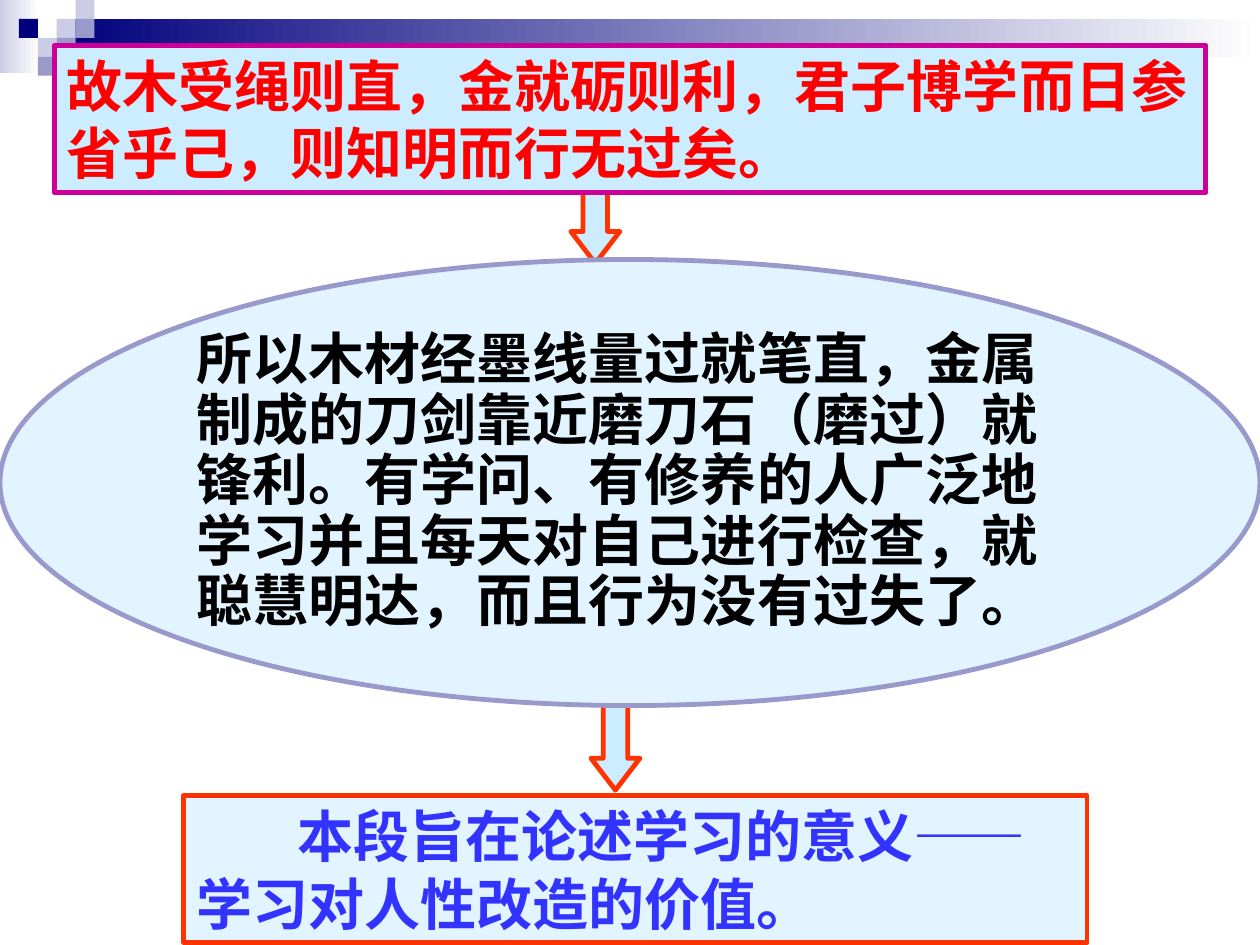
"""Build a slide that leads from a classical sentence to its translation and its point."""
import pptx
import pptx.dml.color
import pptx.enum.shapes
import pptx.enum.text
import pptx.util

Pt = pptx.util.Pt
RGBColor = pptx.dml.color.RGBColor
SHAPES = pptx.enum.shapes.MSO_SHAPE
ANCHORS = pptx.enum.text.MSO_ANCHOR

WHITE = RGBColor(0xFF, 0xFF, 0xFF)
BLACK = RGBColor(0, 0, 0)
NAVY = RGBColor(0, 0, 0x7D)
LAVENDER = RGBColor(0x99, 0x99, 0xCC)
PALE_LAVENDER = RGBColor(0xCC, 0xCC, 0xE6)
SKY = RGBColor(0xCC, 0xEC, 0xFF)
PALE_SKY = RGBColor(0xE1, 0xF4, 0xFF)
ORANGE = RGBColor(0xFF, 0x33, 0)
MAGENTA = RGBColor(0xCC, 0, 0x99)
RED = RGBColor(0xFF, 0, 0)
BLUE = RGBColor(0x33, 0x33, 0xFF)

FONT = "Times New Roman"
SQUARE = 10.8


def add_shape(slide, kind, box, fill, line=None):
    """Add a solid preset shape, outlined when a line colour is given."""
    shape = slide.shapes.add_shape(kind, *map(Pt, box))
    shape.shadow.inherit = False
    shape.fill.solid()
    shape.fill.fore_color.rgb = fill
    if line is None:
        shape.line.fill.background()
    else:
        shape.line.color.rgb = line
        shape.line.width = Pt(2.75)
    return shape


def add_fading_band(slide, box, color):
    """Add a rectangle that fades to white from left to right."""
    shape = add_shape(slide, SHAPES.RECTANGLE, box, color)
    shape.fill.gradient()
    shape.fill.gradient_angle = 0
    for stop, stop_color in zip(shape.fill.gradient_stops, (color, WHITE)):
        stop.color.rgb = stop_color


def add_down_arrow(slide, left, top):
    """Add an outlined arrow that points down."""
    arrow = add_shape(slide, SHAPES.DOWN_ARROW, (left, top, 28, 73.5), SKY, ORANGE)
    arrow.adjustments[0] = 0.5
    arrow.adjustments[1] = 0.65


def write_text(shape, text, color, bold=True, size=32, anchor=ANCHORS.MIDDLE,
               line_spacing=1.0, indent=0):
    """Write one formatted, left-aligned paragraph into a shape."""
    frame = shape.text_frame
    frame.word_wrap = True
    frame.vertical_anchor = anchor
    paragraph = frame.paragraphs[0]
    paragraph.alignment = pptx.enum.text.PP_ALIGN.LEFT
    paragraph.line_spacing = line_spacing
    if indent:
        paragraph._p.get_or_add_pPr().set("indent", str(Pt(indent)))
    run = paragraph.add_run()
    run.text = text
    run.font.name = FONT
    run.font.size = Pt(size)
    run.font.bold = bold
    run.font.color.rgb = color


def add_decoration(slide):
    """Add the fading bands and the mosaic of squares at the top."""
    add_fading_band(slide, (0, 0, 22.3, 41.8), PALE_LAVENDER)
    add_fading_band(slide, (32.4, SQUARE, 687.6, 21.6), NAVY)
    squares = [
        (3, 1, PALE_LAVENDER), (4, 0, PALE_LAVENDER), (4, 1, LAVENDER),
        (2, 2, PALE_LAVENDER), (1, 1, NAVY), (3, 2, LAVENDER), (2, 3, LAVENDER),
    ]
    for column, row, color in squares:
        box = (column * SQUARE, row * SQUARE, SQUARE, SQUARE)
        add_shape(slide, SHAPES.RECTANGLE, box, color)


def main():
    """Build and save the presentation."""
    presentation = pptx.Presentation()
    presentation.slide_width = Pt(720)
    presentation.slide_height = Pt(540)
    slide = presentation.slides.add_slide(presentation.slide_layouts[6])

    add_decoration(slide)
    add_down_arrow(slide, 337.7, 378)
    add_down_arrow(slide, 326.2, 77)

    quotation = add_shape(slide, SHAPES.RECTANGLE, (31, 26, 658, 84.2), SKY, MAGENTA)
    write_text(quotation, "故木受绳则直，金就砺则利，君子博学而日参省乎己，则知明而行无过矣。",
               RED, anchor=ANCHORS.TOP)

    translation = add_shape(slide, SHAPES.OVAL, (0, 148.3, 720, 254.9), PALE_SKY, LAVENDER)
    write_text(translation,
               "所以木材经墨线量过就笔直，金属制成的刀剑靠近磨刀石（磨过）就锋利。"
               "有学问、有修养的人广泛地学习并且每天对自己进行检查，就聪慧明达，"
               "而且行为没有过失了。",
               BLACK, line_spacing=0.9)

    conclusion = add_shape(slide, SHAPES.RECTANGLE, (105, 454.5, 516.2, 84.2), PALE_SKY, ORANGE)
    write_text(conclusion, "本段旨在论述学习的意义——学习对人性改造的价值。", BLUE, indent=58)

    presentation.save("out.pptx")


if __name__ == "__main__":
    main()
